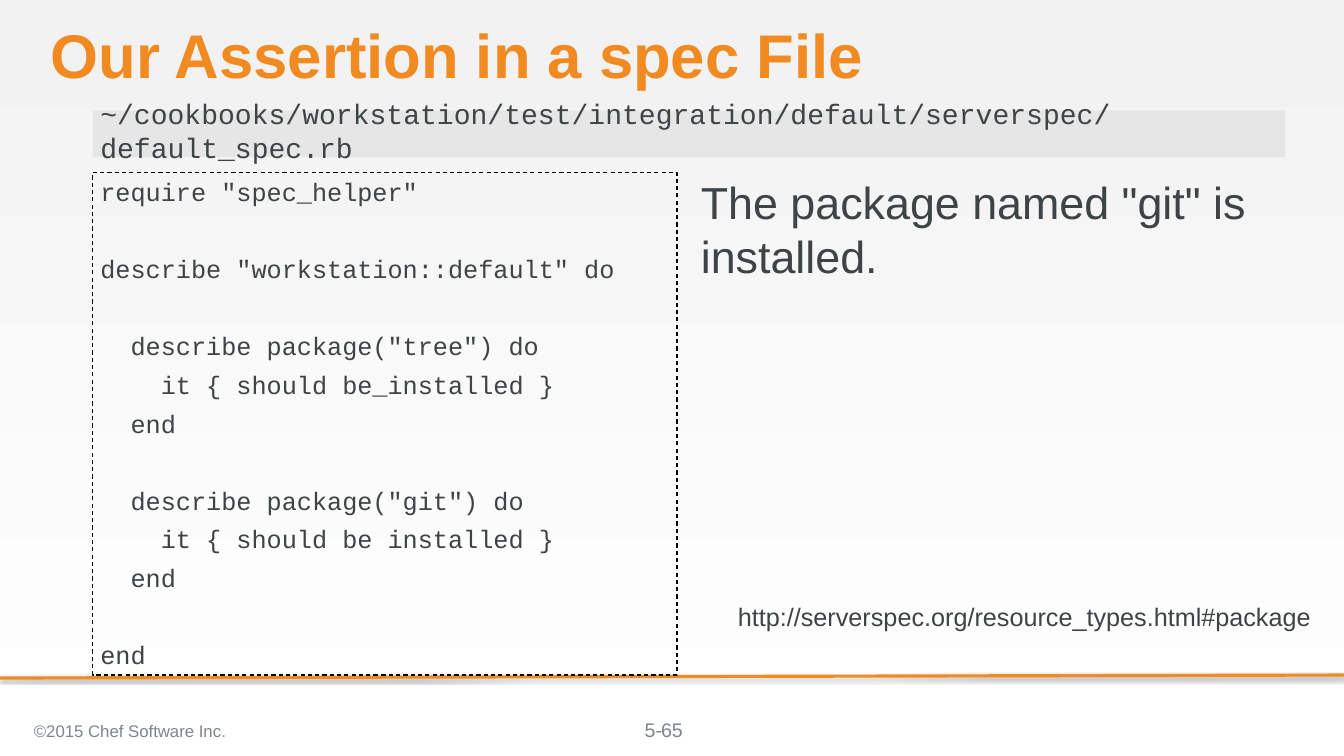
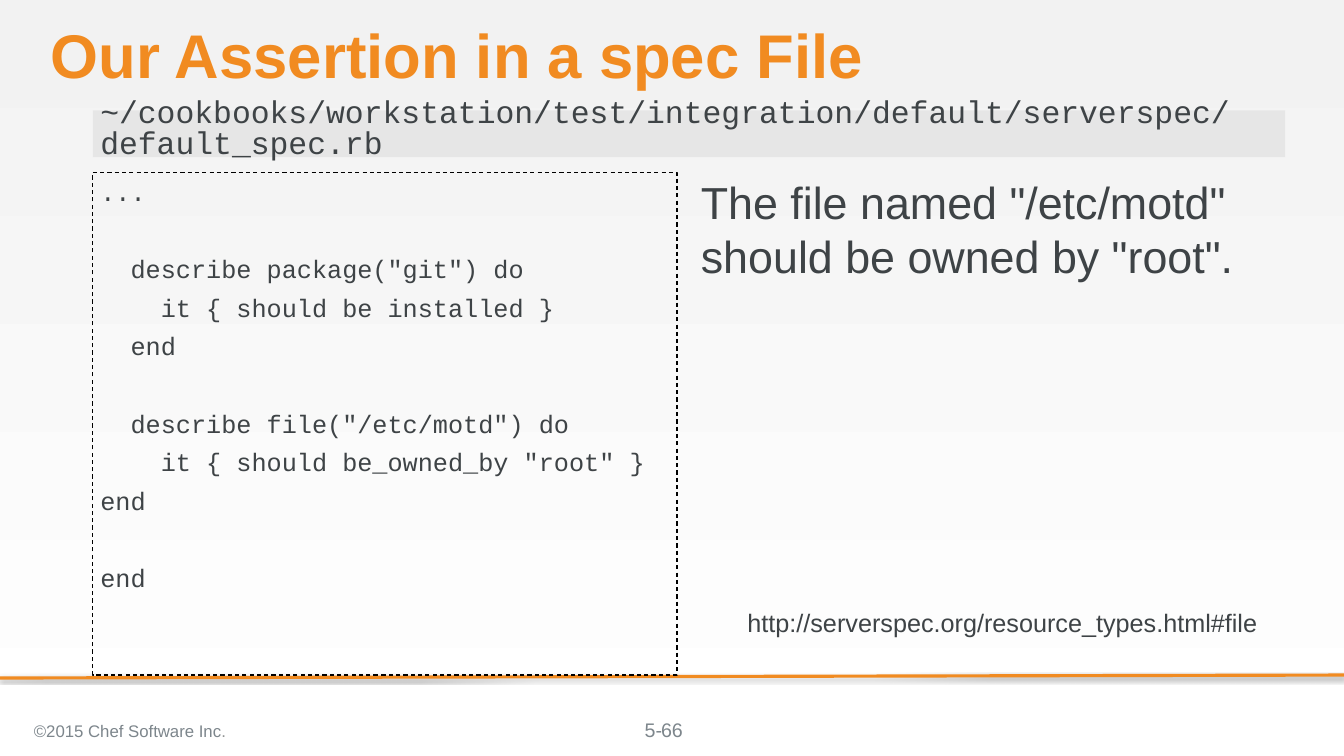
"""Build two slides that turn a plain assertion into a spec file."""
from lxml import etree
from pptx import Presentation
from pptx import util as u
from pptx.dml.color import RGBColor
from pptx.enum import dml, shapes, text
from pptx.oxml import parse_xml
from pptx.oxml.ns import nsdecls, qn

ORANGE = RGBColor(0xF1, 0x8B, 0x21)
INK = RGBColor(0x3E, 0x43, 0x46)
MUTED = RGBColor(0x7D, 0x86, 0x8C)
DOT = RGBColor(0x92, 0x94, 0x94)
BAR = RGBColor(0xD9, 0xD9, 0xD9)
TOP = RGBColor(0xF2, 0xF2, 0xF2)
WHITE = RGBColor(0xFF, 0xFF, 0xFF)
BLACK = RGBColor(0, 0, 0)
SANS, MONO = "Arial", "Courier New"

TITLE = "Our Assertion in a spec File"
SPEC_FILE = "~/cookbooks/workstation/test/integration/default/serverspec/default_spec.rb"
OWNER = "©2015 Chef Software Inc"
CHAPTER = "5-"

SLIDES = [
    {
        "number": "65",
        "bar": {"size": 26.7, "spacing": 1.0},
        "claim": 'The package named "git" is installed.',
        "url": "http://serverspec.org/resource_types.html#package",
        "url_at": (22.94, 19.86),
        "code": '''require "spec_helper"

describe "workstation::default" do

  describe package("tree") do
    it { should be_installed }
  end

  describe package("git") do
    it { should be installed }
  end

end''',
    },
    {
        "number": "66",
        "bar": {"size": 29.9, "spacing": 0.8},
        "claim": 'The file named "/etc/motd" should be owned by "root".',
        "url": "http://serverspec.org/resource_types.html#file",
        "url_at": (22.2, 20.07),
        "code": '''...

  describe package("git") do
    it { should be installed }
  end

  describe file("/etc/motd") do
    it { should be_owned_by "root" }
end

end''',
    },
]

LEFT, RIGHT = 3.12, 43.18
CODE_GAP, CODE_PITCH = 8, 36.7


def write(sp, lines, size, color=INK, font=SANS, bold=False, spacing=1.0,
          align=text.PP_ALIGN.LEFT, anchor=text.MSO_ANCHOR.TOP,
          insets=(0, 0, 0, 0), wrap=True, gaps=None):
    """Fill a shape with paragraphs, each a string or a list of (string, colour)."""
    tf = sp.text_frame
    tf.word_wrap = wrap
    tf.vertical_anchor = anchor
    tf.margin_left, tf.margin_top, tf.margin_right, tf.margin_bottom = map(u.Cm, insets)
    for i, line in enumerate(lines):
        p = tf.add_paragraph() if i else tf.paragraphs[0]
        p.alignment = align
        p.line_spacing = spacing
        if gaps:
            p.space_before = u.Pt(gaps[i])
        for words, tint in [(line, color)] if isinstance(line, str) else line:
            r = p.add_run()
            r.text = words
            r.font.name, r.font.size, r.font.bold = font, u.Pt(size), bold
            r.font.color.rgb = tint


def box(s, x, y, w, h):
    """Add an empty text box."""
    return s.shapes.add_textbox(u.Cm(x), u.Cm(y), u.Cm(w), u.Cm(h))


def rect(s, x, y, w, h):
    """Add a rectangle with no fill, line or shadow."""
    sp = s.shapes.add_shape(shapes.MSO_SHAPE.RECTANGLE, u.Cm(x), u.Cm(y), u.Cm(w), u.Cm(h))
    sp.shadow.inherit = False
    sp.fill.background()
    sp.line.fill.background()
    return sp


def split_code(code):
    """Return the written lines and the space before each, blank lines included."""
    lines, gaps, gap = [], [], 0
    for line in code.split("\n"):
        if line:
            lines.append(line)
            gaps.append(gap)
            gap = CODE_GAP
        else:
            gap += CODE_PITCH
    return lines, gaps


def add_frame(s, number):
    """Add the background, rule, title and footer shared by all slides."""
    fill = s.background.fill
    fill.gradient()
    fill.gradient_angle = 270
    for stop, color in zip(fill.gradient_stops, (TOP, WHITE)):
        stop.color.rgb = color

    rule = s.shapes.add_connector(shapes.MSO_CONNECTOR.STRAIGHT,
                                  u.Cm(45.16), u.Cm(22.68), u.Cm(0), u.Cm(22.78))
    rule.line.color.rgb = ORANGE
    rule.line.width = u.Pt(3)
    rule._element.spPr.append(parse_xml(
        f'<a:effectLst {nsdecls("a")}><a:outerShdw blurRad="{u.Pt(3.1)}" '
        f'dist="{u.Pt(1.8)}" dir="5400000" rotWithShape="0"><a:srgbClr val="000000">'
        '<a:alpha val="35000"/></a:srgbClr></a:outerShdw></a:effectLst>'))

    middle = text.MSO_ANCHOR.MIDDLE
    pad = (0.25, 0.13, 0.25, 0.13)
    write(box(s, 1.7, 0.84, 41.48, 2.31), [TITLE], 58.7, ORANGE, bold=True, spacing=0.9)
    write(box(s, 21.56, 24.13, 2.03, 0.79), [CHAPTER], 18.7, MUTED, insets=(0.1, 0, 0, 0))
    write(box(s, 0.89, 23.83, 15.77, 1.42), [[(OWNER, MUTED), (".", DOT)]], 16,
          anchor=middle, insets=pad)
    write(box(s, 17.5, 23.83, 10.16, 1.35), [number], 18.7, MUTED,
          align=text.PP_ALIGN.CENTER, anchor=middle, insets=pad)


def add_spec(s, item):
    """Add the file bar, the code, the claim and its reference."""
    code = rect(s, LEFT, 5.79, 19.63, 16.89)
    code.line.color.rgb = BLACK
    code.line.width = u.Pt(1)
    code.line.dash_style = dml.MSO_LINE.DASH
    lines, gaps = split_code(item["code"])
    write(code, lines, 24, font=MONO, gaps=gaps, insets=(0.25, 0.13, 0.25, 0.13))

    bar = rect(s, LEFT, 3.71, RIGHT - LEFT, 1.57)
    bar.fill.solid()
    bar.fill.fore_color.rgb = BAR
    tint = bar._element.spPr.find(qn("a:solidFill"))[0]
    etree.SubElement(tint, qn("a:alpha")).set("val", "50000")
    write(bar, [SPEC_FILE], font=MONO, anchor=text.MSO_ANCHOR.MIDDLE,
          insets=(0.25, 0, 0, 0.25), **item["bar"])

    write(box(s, RIGHT - 19.63, 5.87, 19.63, 16.54), [item["claim"]], 42.7)
    write(box(s, *item["url_at"], 22.96, 1.78), [item["url"]], 24, wrap=False,
          align=text.PP_ALIGN.CENTER, insets=(0.33,) * 4)


def main():
    """Build and save the deck."""
    prs = Presentation()
    prs.slide_width, prs.slide_height = u.Cm(45.16), u.Cm(25.4)
    for item in SLIDES:
        s = prs.slides.add_slide(prs.slide_layouts[6])
        add_frame(s, item["number"])
        add_spec(s, item)
    prs.save("out.pptx")


if __name__ == "__main__":
    main()
